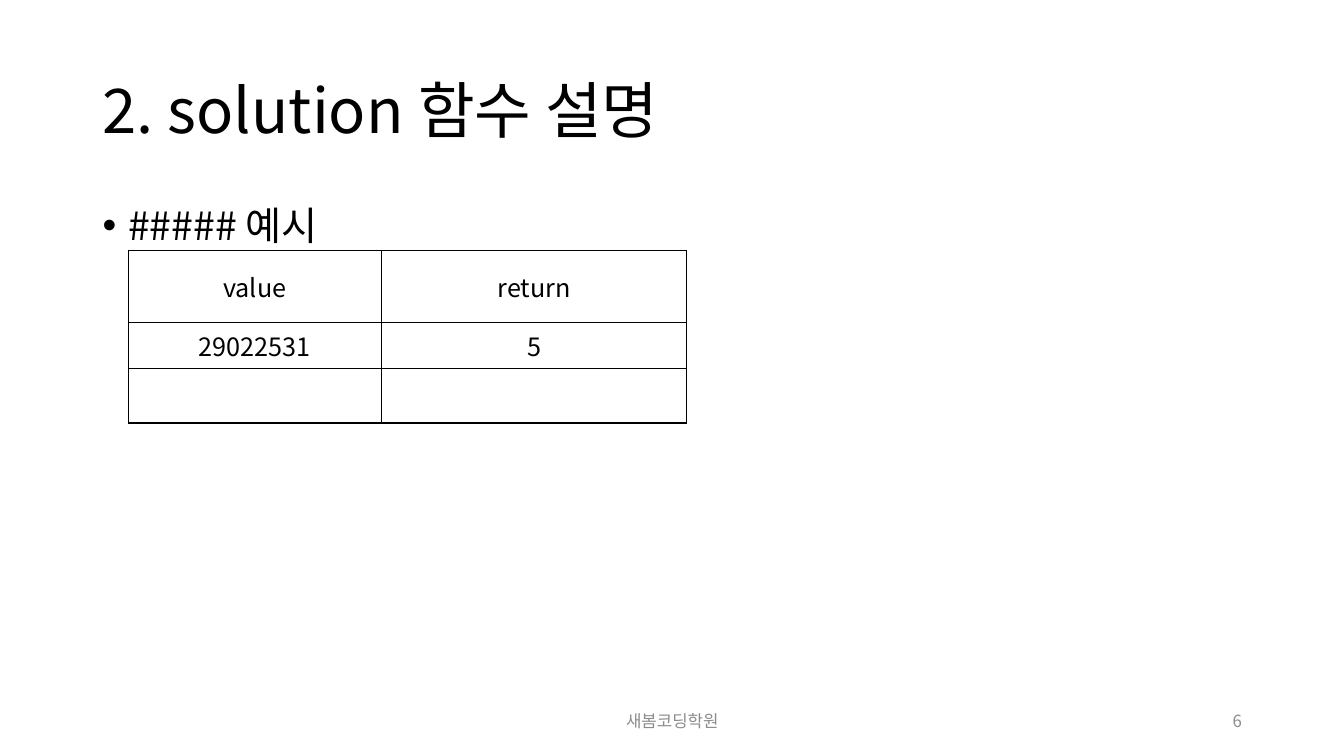
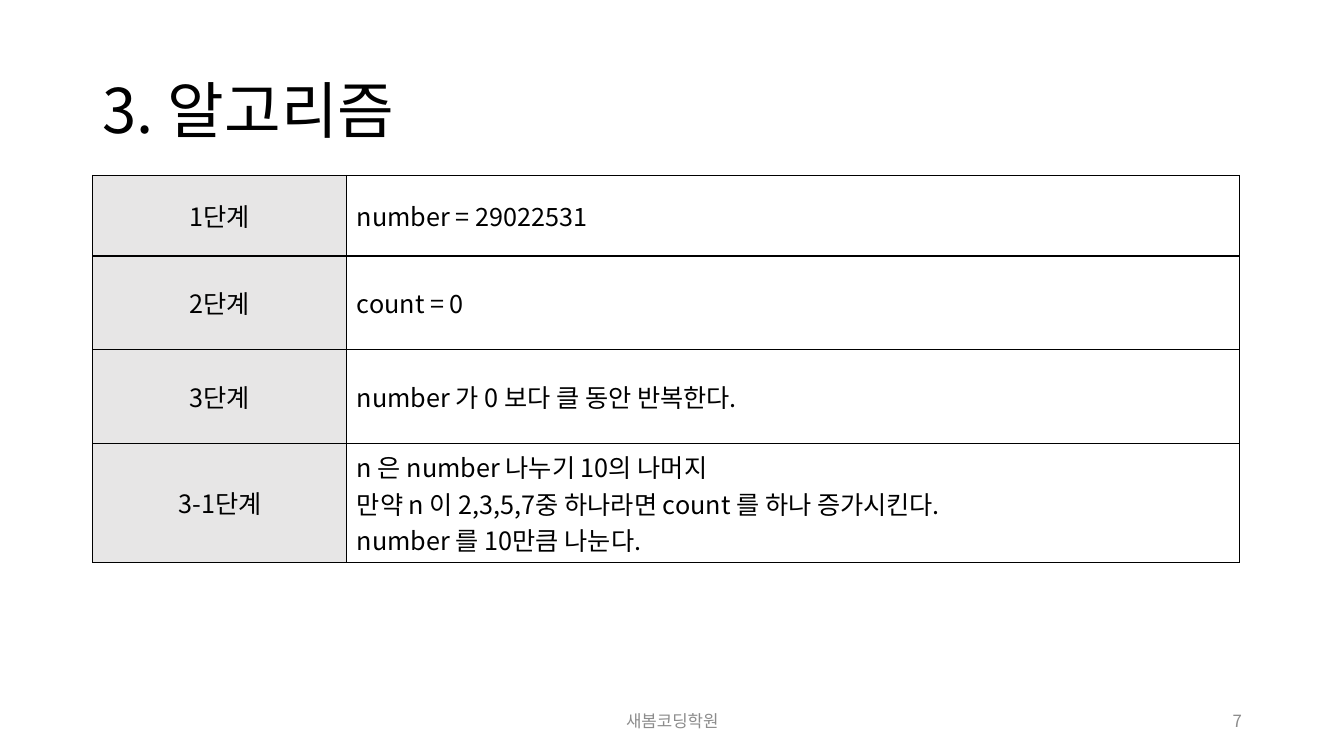
from dataclasses import dataclass

from lxml import etree
from pptx import Presentation
from pptx.dml.color import RGBColor
from pptx.enum.text import MSO_ANCHOR, PP_ALIGN
from pptx.oxml.ns import qn
from pptx.util import Cm, Pt

LEFT, MID, RIGHT = PP_ALIGN.LEFT, PP_ALIGN.CENTER, PP_ALIGN.RIGHT
TOP, CENTER = MSO_ANCHOR.TOP, MSO_ANCHOR.MIDDLE
FONT = "Noto Sans CJK KR"
BLACK, GRAY, PALE = "000000", "8C8C8C", "E7E6E6"
FOOTER = "새봄코딩학원"
EDGE, WIDE = 2.34, 29.21  # left margin and content width


@dataclass
class Box:
    x: float
    y: float
    w: float
    h: float


@dataclass
class Grid:
    x: float
    y: float
    cols: list[float]
    rows: list[float]
    cells: list[list[str]]
    aligns: list[PP_ALIGN]
    fills: list[str | None]


@dataclass
class Page:
    num: int
    title: str
    grid: Grid
    bullet: str = ""


TITLE = Box(EDGE, 1.02, WIDE, 3.68)
BODY = Box(EDGE, 5.08, WIDE, 12.09)
FOOT = Box(11.23, 17.65, 11.43, 1.02)
NUMBER = Box(23.93, 17.65, 7.62, 1.02)

PAGES = [
    Page(6, "2. solution 함수 설명", Grid(
        3.23, 6.32, [6.38, 7.7], [1.8, 1.17, 1.37],
        [["value", "return"], ["29022531", "5"], ["", ""]],
        [MID, MID], [None, None]), "##### 예시"),
    Page(7, "3. 알고리즘", Grid(
        EDGE, 4.42, [6.4, 22.5], [2.03, 2.36, 2.36, 3],
        [["1단계", "number = 29022531"],
         ["2단계", "count = 0"],
         ["3단계", "number 가 0 보다 클 동안 반복한다."],
         ["3-1단계", "n 은 number 나누기 10의 나머지\n"
          "만약 n 이 2,3,5,7중 하나라면 count 를 하나 증가시킨다.\n"
          "number 를 10만큼 나눈다."]],
        [MID, LEFT], [PALE, None])),
]


def color(code: str) -> RGBColor:
    return RGBColor.from_string(code)


def write(frame, text: str, *, size: float = 18, ink: str = BLACK,
          align: PP_ALIGN = LEFT, space: float = 1, bullet: bool = False) -> None:
    """Fill a text frame, one paragraph for each line of text."""
    for i, line in enumerate(text.split("\n")):
        para = frame.paragraphs[0] if i == 0 else frame.add_paragraph()
        if bullet:
            props = para._p.get_or_add_pPr()
            props.set("marL", str(Cm(0.64)))
            props.set("indent", str(-Cm(0.64)))
            etree.SubElement(props, qn("a:buFont")).set("typeface", "Arial")
            etree.SubElement(props, qn("a:buChar")).set("char", "•")
        para.alignment = align
        para.line_spacing = space
        if not line:
            continue
        run = para.add_run()
        run.text = line
        run.font.size = Pt(size)
        run.font.color.rgb = color(ink)
        run.font.name = FONT
        asian = etree.Element(qn("a:ea"), typeface=FONT)
        run._r.rPr.find(qn("a:latin")).addnext(asian)


def label(slide, box: Box, text: str, anchor: MSO_ANCHOR = CENTER, **style) -> None:
    shape = slide.shapes.add_textbox(Cm(box.x), Cm(box.y), Cm(box.w), Cm(box.h))
    frame = shape.text_frame
    frame.word_wrap = True
    frame.vertical_anchor = anchor
    write(frame, text, **style)


def border(cell) -> None:
    props = cell._tc.get_or_add_tcPr()
    for side in ("lnL", "lnR", "lnT", "lnB"):
        line = etree.SubElement(props, qn(f"a:{side}"), w=str(Pt(1)))
        fill = etree.SubElement(line, qn("a:solidFill"))
        etree.SubElement(fill, qn("a:srgbClr"), val=BLACK)


def draw(slide, grid: Grid) -> None:
    table = slide.shapes.add_table(
        len(grid.rows), len(grid.cols), Cm(grid.x), Cm(grid.y),
        Cm(sum(grid.cols)), Cm(sum(grid.rows))).table
    table.first_row = table.horz_banding = False
    for col, width in zip(table.columns, grid.cols):
        col.width = Cm(width)
    for row, height, texts in zip(table.rows, grid.rows, grid.cells):
        row.height = Cm(height)
        for cell, text, align, fill in zip(row.cells, texts, grid.aligns, grid.fills):
            cell.vertical_anchor = CENTER
            border(cell)
            if fill:
                cell.fill.solid()
                cell.fill.fore_color.rgb = color(fill)
            else:
                cell.fill.background()
            write(cell.text_frame, text, align=align)


def build(deck, page: Page) -> None:
    slide = deck.slides.add_slide(deck.slide_layouts[6])
    label(slide, TITLE, page.title, size=44, space=0.9)
    if page.bullet:
        label(slide, BODY, page.bullet, TOP, size=28, space=0.9, bullet=True)
    draw(slide, page.grid)
    # Footer and page number
    label(slide, FOOT, FOOTER, size=12, ink=GRAY, align=MID)
    label(slide, NUMBER, str(page.num), size=12, ink=GRAY, align=RIGHT)


def main() -> None:
    deck = Presentation()
    deck.slide_width, deck.slide_height = Cm(33.87), Cm(19.05)
    for page in PAGES:
        build(deck, page)
    deck.save("out.pptx")


if __name__ == "__main__":
    main()
